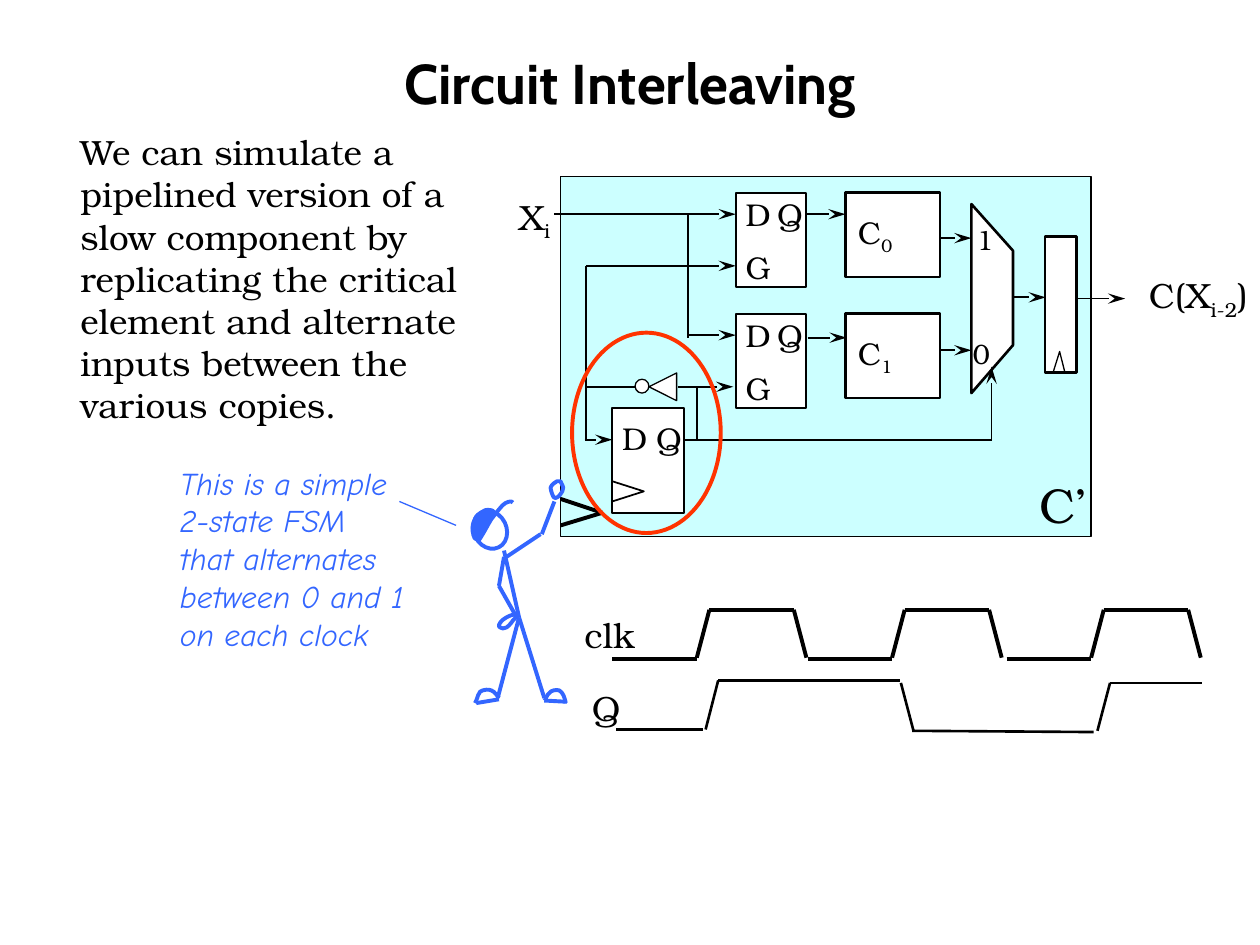
from dataclasses import dataclass

from pptx import Presentation
from pptx.dml.color import RGBColor
from pptx.enum.shapes import MSO_CONNECTOR, MSO_SHAPE
from pptx.enum.text import MSO_ANCHOR, MSO_AUTO_SIZE, PP_ALIGN
from pptx.oxml.ns import qn
from pptx.oxml.xmlchemy import OxmlElement
from pptx.util import Pt

RECT, OVAL = MSO_SHAPE.RECTANGLE, MSO_SHAPE.OVAL
LINE = MSO_CONNECTOR.STRAIGHT
MID, TOP = MSO_ANCHOR.MIDDLE, MSO_ANCHOR.TOP
LEFT, MIDDLE = PP_ALIGN.LEFT, PP_ALIGN.CENTER
GROW, FIXED = MSO_AUTO_SIZE.SHAPE_TO_FIT_TEXT, MSO_AUTO_SIZE.NONE
SCALE = 9144  # EMU per px, 100 px to the inch
HEX = {"ink": "000000", "paper": "FFFFFF", "chip": "CCFFFF",
       "ring": "FF3300", "man": "3366FF"}
SERIF, HAND, HEAD = "TeX Gyre Bonum", "Comic Neue", "Cabin"


@dataclass
class Box:
    x: int
    y: int
    w: int
    h: int
    wide: float = 1
    fill: str | None = "paper"
    ink: str = "ink"
    kind: int = RECT
    turn: float = 0


@dataclass
class Wire:
    x1: int
    y1: int
    x2: int
    y2: int
    tip: bool = True
    wide: float = 1
    ink: str = "ink"


@dataclass
class Label:
    text: str
    x: int
    y: int
    w: int
    h: int
    size: int = 18
    gap: float | None = None


def px(n: int) -> int:
    return n * SCALE


def rgb(name: str) -> RGBColor:
    return RGBColor.from_string(HEX[name])


def paint(shape, fill: str | None, ink: str, wide: float) -> None:
    shape.shadow.inherit = False
    if fill:
        shape.fill.solid()
        shape.fill.fore_color.rgb = rgb(fill)
    else:
        shape.fill.background()
    shape.line.color.rgb = rgb(ink)
    shape.line.width = Pt(wide)


def write(shape, text: str, *, size: int = 18, font: str = SERIF, ink: str = "ink",
          bold: bool = False, slant: bool = False, align=LEFT, anchor=TOP,
          wrap: bool = False, fit=GROW, gap: float | None = None) -> None:
    """Set the text; the parts between underscores become subscripts."""
    frame = shape.text_frame
    frame.word_wrap, frame.auto_size, frame.vertical_anchor = wrap, fit, anchor
    para = frame.paragraphs[0]
    para.alignment, para.line_spacing = align, gap
    for i, part in enumerate(text.split("_")):
        if not part:
            continue
        run = para.add_run()
        run.text = part
        run.font.size, run.font.name = Pt(size), font
        run.font.bold, run.font.italic = bold, slant
        run.font.color.rgb = rgb(ink)
        if i % 2:
            run.font._element.set("baseline", "-25000")


def add_box(shapes, b: Box):
    shape = shapes.add_shape(b.kind, px(b.x), px(b.y), px(b.w), px(b.h))
    shape.rotation = b.turn
    paint(shape, b.fill, b.ink, b.wide)
    return shape


def add_wire(shapes, w: Wire) -> None:
    line = shapes.add_connector(LINE, px(w.x1), px(w.y1), px(w.x2), px(w.y2))
    line.line.color.rgb = rgb(w.ink)
    line.line.width = Pt(w.wide)
    props = line._element.spPr
    if w.tip:
        tail = OxmlElement("a:tailEnd")
        tail.set("type", "stealth")
        tail.set("len", "lg")
        props.find(qn("a:ln")).append(tail)
    props.append(OxmlElement("a:effectLst"))


def add_path(shapes, pts: list, *, close: bool = True, fill: str | None = "paper",
             ink: str = "ink", wide: float = 1, curved: bool = False) -> None:
    spots = [(px(x), px(y)) for x, y in pts]
    pen = shapes.build_freeform(*spots[0], scale=1.0)
    pen.add_line_segments(spots[1:], close=close)
    shape = pen.convert_to_shape()
    paint(shape, fill, ink, wide)
    if curved:
        bend(shape)


def bend(shape) -> None:
    """Join each three line segments into one cubic curve."""
    legs = list(shape._element.iter(qn("a:lnTo")))
    for i in range(0, len(legs), 3):
        curve = OxmlElement("a:cubicBezTo")
        legs[i].addprevious(curve)
        for leg in legs[i:i + 3]:
            curve.append(leg[0])
            leg.getparent().remove(leg)


def add_label(shapes, lab: Label) -> None:
    box = shapes.add_textbox(px(lab.x), px(lab.y), px(lab.w), px(lab.h))
    write(box, lab.text, size=lab.size, gap=lab.gap)


def add_latch(shapes, x: int, y: int, h: int, pins: list) -> None:
    add_box(shapes, Box(x, y, 57 if h > 75 else 56, h))
    for name, dx, dy in pins:
        add_label(shapes, Label(name, x + dx, y + dy, 40, 38, gap=0.9))


def add_chip(shapes) -> None:
    add_box(shapes, Box(445, 140, 421, 286, 0.75, "chip"))
    # Two latches with their copies of the component
    for i, y in enumerate((153, 249)):
        add_latch(shapes, 584, y, 75, [("D", -2, 0), ("Q", 23, 0), ("G", -2, 42)])
        unit = add_box(shapes, Box(671, y, 75, 67, 1.5))
        write(unit, f"C_{i}", anchor=MID, fit=FIXED)
    # State register, output register, inverter and multiplexer
    add_latch(shapes, 486, 324, 83, [("D", -2, 7), ("Q", 25, 7)])
    add_path(shapes, [(486, 382), (511, 390), (486, 398)], close=False, fill=None)
    add_box(shapes, Box(788, 229, 108, 25, 1.5, turn=270))
    add_path(shapes, [(836, 295), (841, 279), (845, 295)], wide=0.75)
    add_path(shapes, [(537, 318), (515, 307), (537, 296)], wide=0.75)
    add_box(shapes, Box(504, 301, 11, 11, 0.75, kind=OVAL))
    add_path(shapes, [(771, 312), (804, 274), (804, 199), (771, 162)], wide=1.5)
    # Wires with arrowheads
    for ends in ((465, 211, 584, 211), (640, 170, 671, 170), (546, 266, 584, 266),
                 (746, 189, 771, 189), (464, 349, 486, 349), (805, 236, 830, 236),
                 (641, 268, 672, 268), (440, 170, 584, 170), (538, 307, 582, 307),
                 (746, 278, 771, 278), (855, 237, 893, 237), (787, 349, 787, 291)):
        add_wire(shapes, Wire(*ends))
    # Plain wires
    for ends in ((465, 211, 465, 349), (553, 349, 553, 307),
                 (465, 307, 504, 307), (543, 349, 787, 349)):
        add_wire(shapes, Wire(*ends, tip=False))
    add_wire(shapes, Wire(546, 268, 546, 170, False, 0.75))
    for y in (417, 396):
        add_wire(shapes, Wire(478, 407, 445, y, False, 2.25))
    for lab in (Label("1", 765, 172, 35, 37, 16), Label("0", 762, 262, 35, 37, 16),
                Label("C’", 815, 372, 69, 57, 28), Label("X_i", 402, 150, 46, 44, 20),
                Label("C(X_i-2_)", 902, 212, 107, 44, 20)):
        add_label(shapes, lab)


def add_waves(shapes) -> None:
    for x in (553, 708, 866):  # one clock pulse each
        for ends in ((x - 67, 523, x, 523), (x, 522, x + 10, 484),
                     (x + 10, 484, x + 77, 484), (x + 87, 522, x + 77, 484)):
            add_wire(shapes, Wire(*ends, tip=False, wide=2.25))
    for ends in ((489, 579, 558, 579), (560, 579, 570, 540), (570, 540, 714, 540),
                 (725, 580, 715, 542), (724, 580, 868, 581), (871, 580, 881, 542),
                 (881, 542, 954, 542)):
        add_wire(shapes, Wire(*ends, tip=False, wide=1.5))
    add_label(shapes, Label("clk", 454, 482, 61, 44, 20))
    add_label(shapes, Label("Q", 460, 540, 43, 44, 20))


def add_man(shapes) -> None:
    add_wire(shapes, Wire(317, 398, 362, 417, False, 0.75, "man"))
    # Body, legs, soles and arms
    for ends in ((400, 437, 412, 490), (412, 490, 432, 554), (412, 490, 395, 554),
                 (432, 556, 450, 557), (396, 555, 378, 558), (402, 442, 429, 424),
                 (430, 424, 440, 398), (400, 442, 396, 465), (396, 465, 409, 488)):
        add_wire(shapes, Wire(*ends, False, 2.25, "man"))
    add_box(shapes, Box(376, 405, 26, 31, 2.25, None, "man", OVAL, 333.6))
    # Feet, hands, cap brim and cap: closed, fill, curve points
    for close, fill, pts in (
        (False, None, [(449, 558), (448, 553), (447, 550), (444, 548), (442, 547),
                       (437, 548), (436, 550), (434, 551), (433, 556), (432, 556)]),
        (False, None, [(377, 558), (380, 552), (379, 551), (381, 549), (384, 547),
                       (388, 547), (390, 548), (393, 549), (395, 553), (396, 554)]),
        (True, None, [(440, 395), (439, 395), (437, 389), (437, 387), (438, 384),
                      (441, 383), (442, 382), (443, 382), (444, 382), (445, 382),
                      (445, 383), (447, 386), (447, 387), (447, 389), (446, 391),
                      (445, 392), (444, 394), (441, 396), (440, 395)]),
        (True, None, [(411, 488), (410, 487), (406, 488), (404, 489), (402, 490),
                      (400, 491), (399, 492), (398, 493), (396, 495), (396, 496),
                      (396, 497), (396, 498), (397, 498), (398, 499), (400, 499),
                      (402, 498), (403, 497), (405, 496), (406, 494), (407, 492),
                      (411, 489), (411, 488)]),
        (False, None, [(380, 429), (384, 423), (387, 417), (390, 412), (394, 407),
                       (397, 403), (399, 401), (402, 398), (405, 398), (406, 398),
                       (407, 398), (407, 399), (407, 399)]),
        (True, "man", [(378, 428), (376, 428), (375, 422), (375, 419), (375, 416),
                       (377, 412), (378, 410), (380, 408), (383, 406), (385, 405),
                       (386, 404), (388, 405), (390, 405), (391, 406), (392, 405),
                       (392, 407), (391, 409), (388, 414), (386, 417), (384, 421),
                       (379, 427), (378, 428)]),
    ):
        add_path(shapes, pts, close=close, fill=fill, ink="man", wide=2.25, curved=True)


def main() -> None:
    deck = Presentation()
    deck.slide_width, deck.slide_height = px(1000), px(750)
    shapes = deck.slides.add_slide(deck.slide_layouts[5]).shapes
    # Title and body
    title = shapes.title
    title.left, title.top, title.width, title.height = map(px, (50, 30, 900, 70))
    write(title, "Circuit Interleaving", size=32, font=HEAD, bold=True,
          align=MIDDLE, anchor=MID, wrap=True, fit=FIXED)
    body = shapes.add_textbox(*map(px, (54, 99, 335, 375)))
    write(body, "We can simulate a pipelined version of a slow component by replicating "
          "the critical element and alternate inputs between the various copies.",
          size=20, wrap=True, fit=FIXED)
    add_chip(shapes)
    add_waves(shapes)
    # Ringed state machine and its remark
    add_box(shapes, Box(454, 264, 118, 159, 2.25, None, "ring", OVAL))
    note = shapes.add_textbox(*map(px, (133, 363, 200, 162)))
    write(note, "This is a simple 2-state FSM that alternates between 0 and 1 "
          "on each clock", font=HAND, ink="man", slant=True, wrap=True)
    add_man(shapes)
    deck.save("out.pptx")


if __name__ == "__main__":
    main()
